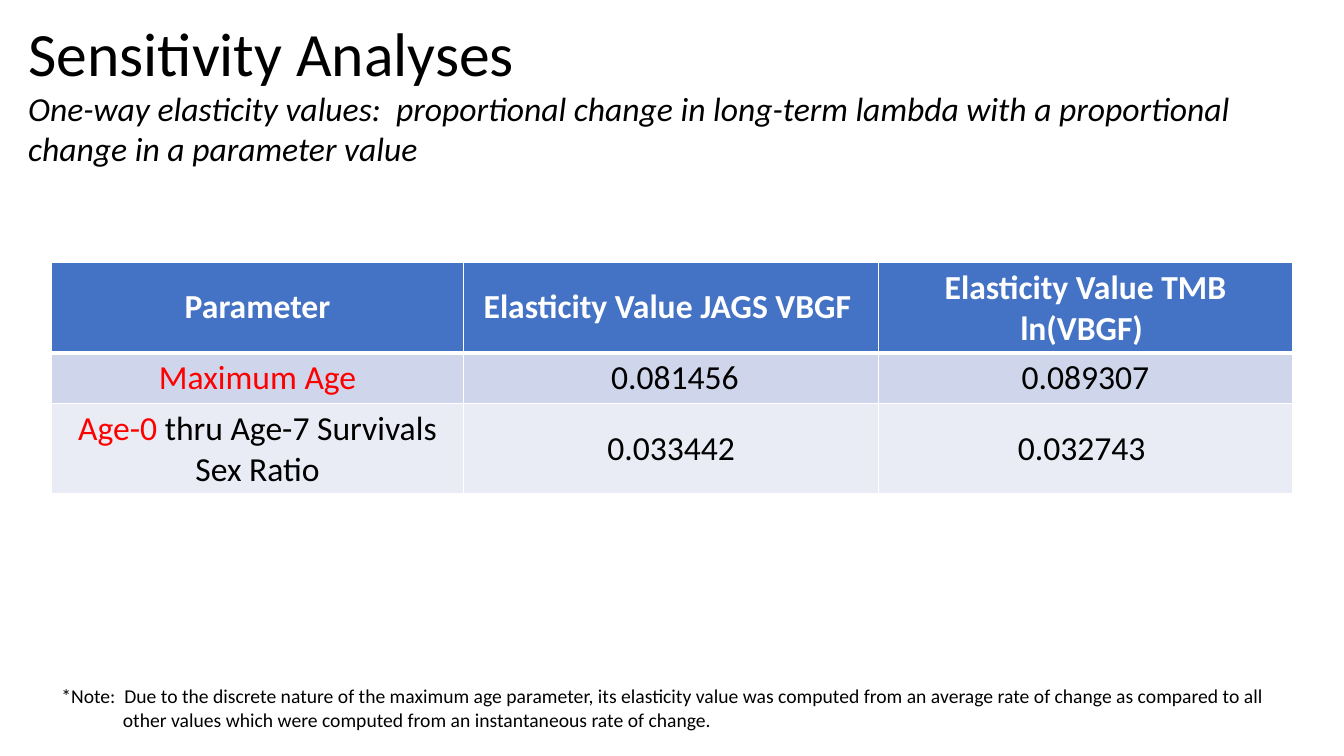
import pptx
import pptx.util
import pptx.dml.color
import pptx.enum.text
import lxml.etree
from pptx.oxml.ns import qn

Pt = pptx.util.Pt
ALIGN = pptx.enum.text.PP_ALIGN
ANCHOR = pptx.enum.text.MSO_ANCHOR
INK = {"black": "000000", "white": "FFFFFF", "red": "FF0000",
       "head": "4472C4", "odd": "CFD5EA", "even": "E9EBF5"}

COLS = (294.5, 296.5, 295.3)
ROWS = (64.5, 36, 64.5)
# Each cell is a list of (text, colour) runs
CELLS = [
    [[("Parameter", "white")],
     [("Elasticity Value JAGS VBGF ", "white")],
     [("Elasticity Value TMB ln(VBGF) ", "white")]],
    [[("Maximum Age", "red")], [(" 0.081456", "black")], [("0.089307", "black")]],
    [[("Age-0", "red"), (" thru Age-7 Survivals Sex Ratio", "black")],
     [("0.033442", "black")], [("0.032743 ", "black")]],
]


def shade(name):
    return pptx.dml.color.RGBColor.from_string(INK[name])


def write(frame, runs, size=24, bold=False, italic=False, align=ALIGN.LEFT,
          lines=None, hang=0):
    """Fill a text frame with one paragraph of text or (text, colour) runs."""
    if isinstance(runs, str):
        runs = [(runs, "black")]
    frame.word_wrap = True
    para = frame.paragraphs[0]
    para.alignment = align
    para.line_spacing = lines
    if hang:
        props = para._p.get_or_add_pPr()
        props.set("marL", str(Pt(hang)))
        props.set("indent", str(-Pt(hang)))
    for text, tint in runs:
        run = para.add_run()
        run.text = text
        font = run.font
        font.name, font.size = "Calibri", Pt(size)
        font.bold, font.italic = bold, italic
        font.color.rgb = shade(tint)


def place(shape, left, top, width, height):
    shape.left, shape.top = Pt(left), Pt(top)
    shape.width, shape.height = Pt(width), Pt(height)


def label(slide, box, text, **form):
    shape = slide.shapes.add_textbox(*map(Pt, box))
    write(shape.text_frame, text, **form)


def edge(cell, base):
    """Draw white borders; base is the width of the bottom one."""
    props = cell._tc.get_or_add_tcPr()
    for side, width in zip("LRTB", (1, 1, 1, base)):
        line = lxml.etree.SubElement(props, qn("a:ln" + side), w=str(Pt(width)))
        fill = lxml.etree.SubElement(line, qn("a:solidFill"))
        lxml.etree.SubElement(fill, qn("a:srgbClr"), val=INK["white"])


def grid(slide, left, top):
    table = slide.shapes.add_table(len(ROWS), len(COLS), Pt(left), Pt(top),
                                   Pt(sum(COLS)), Pt(sum(ROWS))).table
    for col, width in zip(table.columns, COLS):
        col.width = Pt(width)
    for row, height in zip(table.rows, ROWS):
        row.height = Pt(height)
    for r, (cells, back) in enumerate(zip(CELLS, ("head", "odd", "even"))):
        for c, runs in enumerate(cells):
            cell = table.cell(r, c)
            cell.vertical_anchor = ANCHOR.MIDDLE
            write(cell.text_frame, runs, bold=r == 0, align=ALIGN.CENTER)
            edge(cell, 3 if r == 0 else 1)
            if r == 1:
                cell._tc.tcPr.find(qn("a:lnT")).set("w", str(Pt(3)))
            cell.fill.solid()
            cell.fill.fore_color.rgb = shade(back)


def main():
    deck = pptx.Presentation()
    deck.slide_width, deck.slide_height = Pt(960), Pt(540)
    slide = deck.slides.add_slide(deck.slide_layouts[5])

    # Title and subtitle
    title = slide.shapes.title
    place(title, 13, 13, 828, 104.4)
    title.text_frame.vertical_anchor = ANCHOR.TOP
    title.text_frame.auto_size = pptx.enum.text.MSO_AUTO_SIZE.NONE
    write(title.text_frame, "Sensitivity Analyses", size=44, lines=0.9)
    label(slide, (13, 59, 886.3, 65.5),
          "One-way elasticity values:  proportional change in long-term lambda "
          "with a proportional change in a parameter value", italic=True)

    # Elasticity table
    grid(slide, 36.7, 187.2)

    # Footnote
    label(slide, (36.7, 485.3, 886.3, 41),
          "*Note:  Due to the discrete nature of the maximum age parameter, its "
          "elasticity value was computed from an average rate of change as "
          "compared to all other values which were computed from an "
          "instantaneous rate of change.", size=14, hang=44)

    deck.save("out.pptx")


main()
